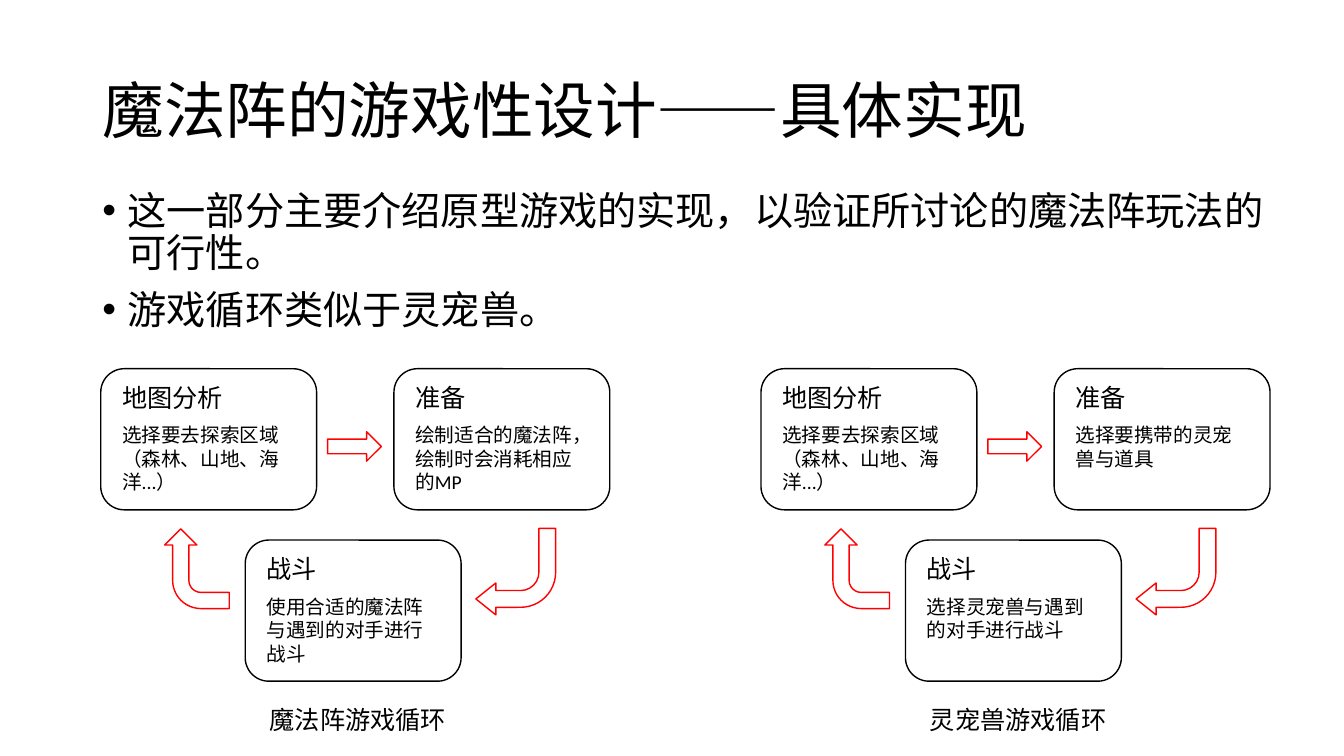
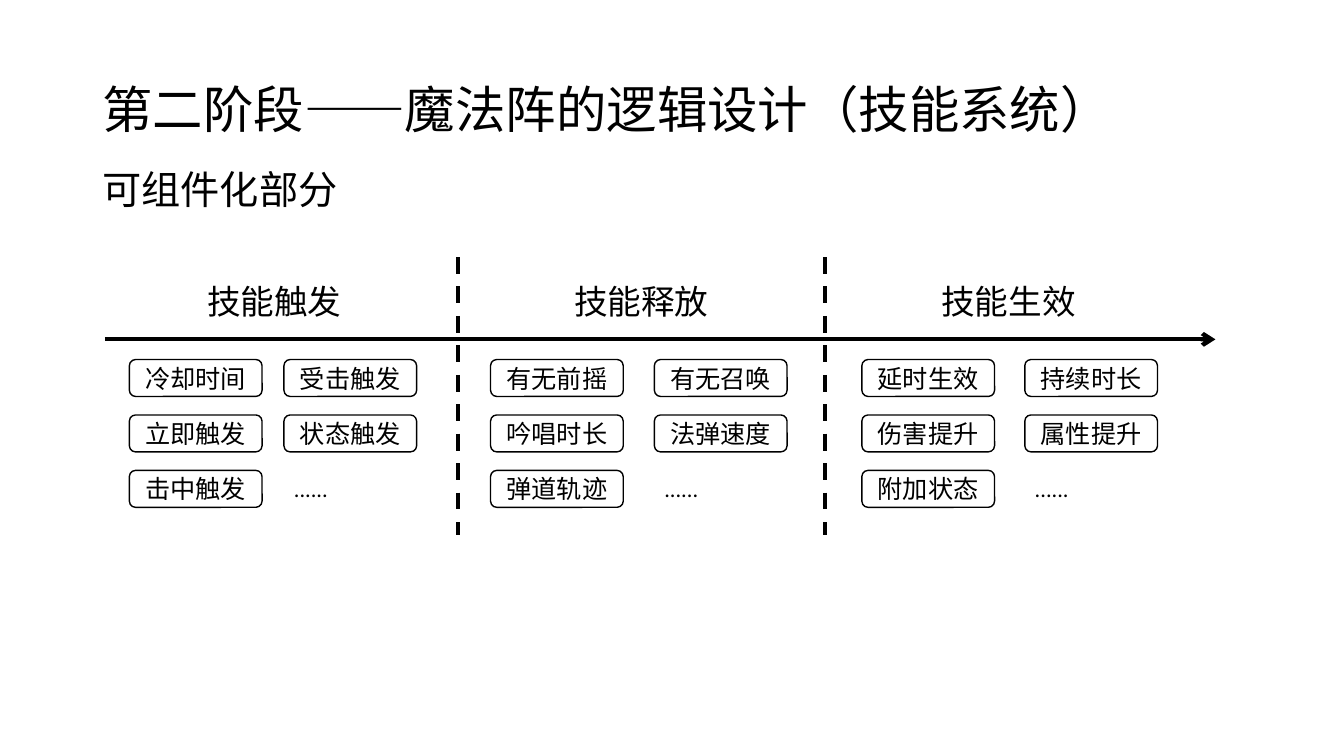
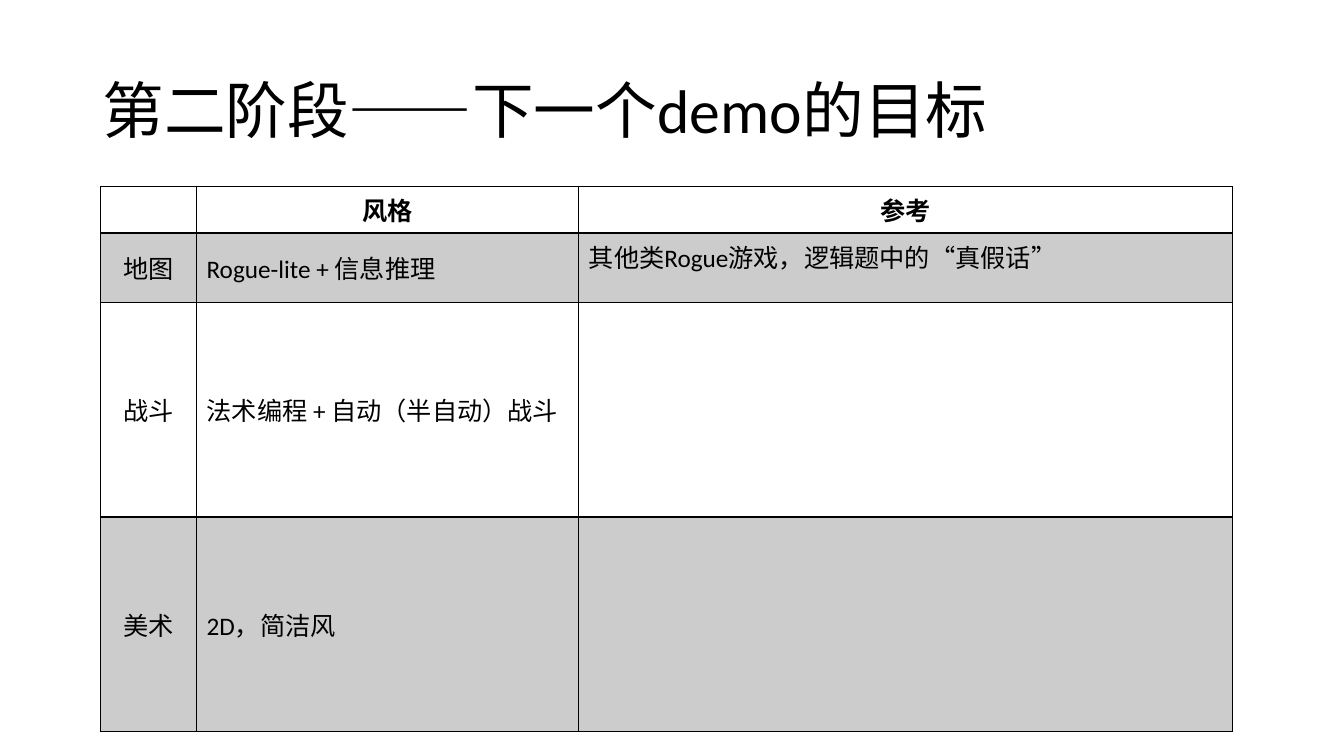
"""Three slides on the design of a magic-circle game."""
import dataclasses

import lxml.etree
import pptx
import pptx.dml.color
import pptx.enum.dml
import pptx.enum.shapes
import pptx.enum.text
import pptx.oxml.ns
import pptx.util

Shape = pptx.enum.shapes.MSO_SHAPE
Align = pptx.enum.text.PP_ALIGN
Anchor = pptx.enum.text.MSO_ANCHOR
Fit = pptx.enum.text.MSO_AUTO_SIZE
Pt = pptx.util.Pt
qn = pptx.oxml.ns.qn


def rgb(code):
    """Return the colour of a hex code."""
    return pptx.dml.color.RGBColor.from_string(code)


def add(node, tag, **keys):
    """Append a child element with attributes."""
    child = lxml.etree.SubElement(node, qn(tag))
    for key, value in keys.items():
        child.set(key, str(value))
    return child


@dataclasses.dataclass(frozen=True)
class Theme:
    """Colours, type sizes and line widths."""
    font: str = "Calibri"
    ink: str = "000000"
    paper: str = "FFFFFF"
    accent: str = "FF0000"
    shade: int = 20
    title: int = 44
    long: int = 36
    body: int = 28
    head: int = 24
    label: int = 18
    dots: int = 16
    note: int = 14
    thin: int = 1
    mid: int = 2
    bold: int = 3


class Deck:
    """Draws on a grid of 160 columns by 90 rows."""
    cols, rows = 160, 90

    def __init__(self, theme):
        """Open an empty wide presentation."""
        self.theme = theme
        self.file = pptx.Presentation()
        self.file.slide_width = pptx.util.Inches(13.33)
        self.file.slide_height = pptx.util.Inches(7.5)
        self.slide = None

    def x(self, col):
        """Turn columns into a length."""
        return round(self.file.slide_width * col / self.cols)

    def y(self, row):
        """Turn rows into a length."""
        return round(self.file.slide_height * row / self.rows)

    def box(self, left, top, wide, high):
        """Turn a grid box into lengths."""
        return self.x(left), self.y(top), self.x(wide), self.y(high)

    def put(self, para, text, size, bold=False):
        """Add one run to a paragraph."""
        run = para.add_run()
        run.text = text
        run.font.name = self.theme.font
        run.font.size = Pt(size)
        run.font.bold = bold
        run.font.color.rgb = rgb(self.theme.ink)

    def fill(self, holder, place, lines, gap):
        """Place a placeholder and set its paragraphs."""
        holder.left, holder.top, holder.width, holder.height = self.box(*place)
        frame = holder.text_frame
        frame.auto_size = Fit.NONE
        for i, (text, size) in enumerate(lines):
            para = frame.add_paragraph() if i else frame.paragraphs[0]
            para.alignment = Align.LEFT
            para.line_spacing = 0.9
            para.space_before = Pt(gap if i else 0)
            self.put(para, text, size)
        return frame

    def page(self, lines, high=17.4, layout=5):
        """Start a slide with a title."""
        self.slide = self.file.slides.add_slide(self.file.slide_layouts[layout])
        frame = self.fill(self.slide.shapes.title, (11, 4.8, 138, high), lines, 22)
        frame.vertical_anchor = Anchor.MIDDLE

    def bullets(self, place, items):
        """Fill the body with a bulleted list."""
        lines = [(item, self.theme.body) for item in items]
        frame = self.fill(self.slide.placeholders[1], place, lines, 10)
        indent = pptx.util.Inches(0.25)
        for para in frame.paragraphs:
            prop = para._p.get_or_add_pPr()
            prop.set("marL", str(indent))
            prop.set("indent", str(-indent))

    def text(self, place, text, size, align=Align.LEFT):
        """Add a text box."""
        frame = self.slide.shapes.add_textbox(*self.box(*place)).text_frame
        frame.word_wrap = True
        frame.auto_size = Fit.SHAPE_TO_FIT_TEXT
        frame.paragraphs[0].alignment = align
        self.put(frame.paragraphs[0], text, size)

    def shape(self, kind, place, color=None, turn=0, adjust=()):
        """Add an outlined shape."""
        item = self.slide.shapes.add_shape(kind, *self.box(*place))
        item.shadow.inherit = False
        item.fill.solid()
        item.fill.fore_color.rgb = rgb(self.theme.paper)
        item.line.color.rgb = rgb(color or self.theme.ink)
        item.line.width = Pt(self.theme.thin)
        item.rotation = turn
        for i, value in enumerate(adjust):
            item.adjustments[i] = value
        return item

    def tag(self, place, text):
        """Add a rounded label."""
        frame = self.shape(Shape.ROUNDED_RECTANGLE, place).text_frame
        frame.word_wrap = True
        frame.vertical_anchor = Anchor.MIDDLE
        frame.paragraphs[0].alignment = Align.CENTER
        self.put(frame.paragraphs[0], text, self.theme.label)

    def card(self, left, top, head, note):
        """Add a card with a heading and a note."""
        self.shape(Shape.ROUNDED_RECTANGLE, (left, top, 25.7, 16.8))
        self.text((left + 1.35, top + 1, 14.8, 4.8), head, self.theme.label)
        self.text((left + 1.35, top + 5.9, 22, 9.7), note, self.theme.note)

    def line(self, start, end, dash=False, arrow=False):
        """Add a thick line."""
        item = self.slide.shapes.add_connector(
            pptx.enum.shapes.MSO_CONNECTOR.STRAIGHT,
            self.x(start[0]), self.y(start[1]), self.x(end[0]), self.y(end[1]))
        item.line.color.rgb = rgb(self.theme.ink)
        item.line.width = Pt(self.theme.bold)
        if dash:
            item.line.dash_style = pptx.enum.dml.MSO_LINE.DASH
        if arrow:
            add(item.line._get_or_add_ln(), "a:tailEnd", type="arrow")
        add(item._element.spPr, "a:effectLst")

    def edges(self, cell, row):
        """Draw the borders of a cell."""
        prop = cell._tc.get_or_add_tcPr()
        for i, side in enumerate("LRTB"):
            heavy = (row, side) in ((0, "B"), (1, "T"))
            width = Pt(self.theme.mid if heavy else self.theme.thin)
            edge = add(prop, "a:ln" + side, w=width)
            add(add(edge, "a:solidFill"), "a:srgbClr", val=self.theme.ink)
            prop.insert(i, edge)

    def cell(self, cell, row, col, text):
        """Format and fill one table cell."""
        if row % 2:
            cell.fill.solid()
            cell.fill.fore_color.rgb = rgb(self.theme.ink)
            color = cell._tc.tcPr.find(".//" + qn("a:srgbClr"))
            add(color, "a:alpha", val=self.theme.shade * 1000)
        else:
            cell.fill.background()
        self.edges(cell, row)
        if row and col < 2:
            cell.vertical_anchor = Anchor.MIDDLE
        if text:
            para = cell.text_frame.paragraphs[0]
            para.alignment = Align.LEFT if row and col else Align.CENTER
            self.put(para, text, self.theme.label, bold=row == 0)

    def table(self, left, top, wides, highs, data):
        """Add a table with shaded odd rows."""
        place = self.box(left, top, sum(wides), sum(highs))
        grid = self.slide.shapes.add_table(len(highs), len(wides), *place).table
        grid.first_row = grid.horz_banding = False
        for col, wide in zip(grid.columns, wides):
            col.width = self.x(wide)
        for row, high in zip(grid.rows, highs):
            row.height = self.y(high)
        for r, texts in enumerate(data):
            for c, text in enumerate(texts):
                self.cell(grid.cell(r, c), r, c, text)


def cycle(deck, left, name, notes):
    """Draw one game loop of three cards."""
    theme = deck.theme
    spots = ((0, 43.9), (34.9, 43.9), (17.2, 64.3))
    for (col, top), head, note in zip(spots, ("地图分析", "准备", "战斗"), notes):
        deck.card(left + col, top, head, note)
    deck.shape(Shape.BENT_ARROW, (left + 6.7, 63.85, 9.5, 7.7), theme.accent, 270)
    deck.shape(Shape.BENT_ARROW, (left + 44.65, 62.9, 9.5, 10.3), theme.accent,
               180, (0.21, 0.2, 0.25, 0.44))
    deck.shape(Shape.RIGHT_ARROW, (left + 27, 51.4, 6.4, 3.5), theme.accent)
    deck.text((left + 14.3, 83.2, 32.6, 4.8), name, theme.label, Align.CENTER)


def loops(deck):
    """Build the slide that compares two game loops."""
    deck.page([("魔法阵的游戏性设计——具体实现", deck.theme.title)], layout=1)
    deck.bullets((11, 22.2, 141.5, 23.9), (
        "这一部分主要介绍原型游戏的实现，以验证所讨论的魔法阵玩法的可行性。",
        "游戏循环类似于灵宠兽。"))
    area = "选择要去探索区域（森林、山地、海洋...）"
    games = (
        ("魔法阵游戏循环", (area, "绘制适合的魔法阵，绘制时会消耗相应的MP",
                     "使用合适的魔法阵与遇到的对手进行战斗")),
        ("灵宠兽游戏循环", (area, "选择要携带的灵宠兽与道具",
                     "选择灵宠兽与遇到的对手进行战斗")))
    for i, (name, notes) in enumerate(games):
        cycle(deck, 12 + 78.6 * i, name, notes)


def skills(deck):
    """Build the slide on the stages of a skill."""
    theme = deck.theme
    deck.page([("第二阶段——魔法阵的逻辑设计（技能系统）", theme.long),
               ("可组件化部分", theme.body)], high=25.8)
    deck.line((12.5, 40.4), (144.7, 40.4), arrow=True)
    for col in (54.5, 98.2):
        deck.line((col, 30.6), (col, 63.7), dash=True)
    stages = (
        ("技能触发", (15.4, 33.8),
         ("冷却时间", "受击触发", "立即触发", "状态触发", "击中触发")),
        ("技能释放", (58.4, 77.9),
         ("有无前摇", "有无召唤", "吟唱时长", "法弹速度", "弹道轨迹")),
        ("技能生效", (102.6, 122),
         ("延时生效", "持续时长", "伤害提升", "属性提升", "附加状态")))
    top, step, high = 42.8, 6.6, 4.4
    for i, (name, cols, tags) in enumerate(stages):
        deck.text((19.1 + 43.7 * i, 32.8, 27.1, 6), name, theme.head, Align.CENTER)
        for j, tag in enumerate(tags):
            deck.tag((cols[j % 2], top + step * (j // 2), 15.8, high), tag)
        deck.text((cols[1], top + step * 2, 17, high), "......", theme.dots)


def goals(deck):
    """Build the slide with the table of goals."""
    deck.page([("第二阶段——下一个demo的目标", deck.theme.title)])
    deck.table(12, 22.2, (11.4, 45.5, 77.8), (5.2, 8.3, 25.5, 25.5), (
        ("", "风格", "参考"),
        ("地图", "Rogue-lite + 信息推理", "其他类Rogue游戏，逻辑题中的“真假话”"),
        ("战斗", "法术编程 + 自动（半自动）战斗", ""),
        ("美术", "2D，简洁风", "")))


def main():
    """Build and save the deck."""
    deck = Deck(Theme())
    for build in (loops, skills, goals):
        build(deck)
    deck.file.save("out.pptx")


if __name__ == "__main__":
    main()
